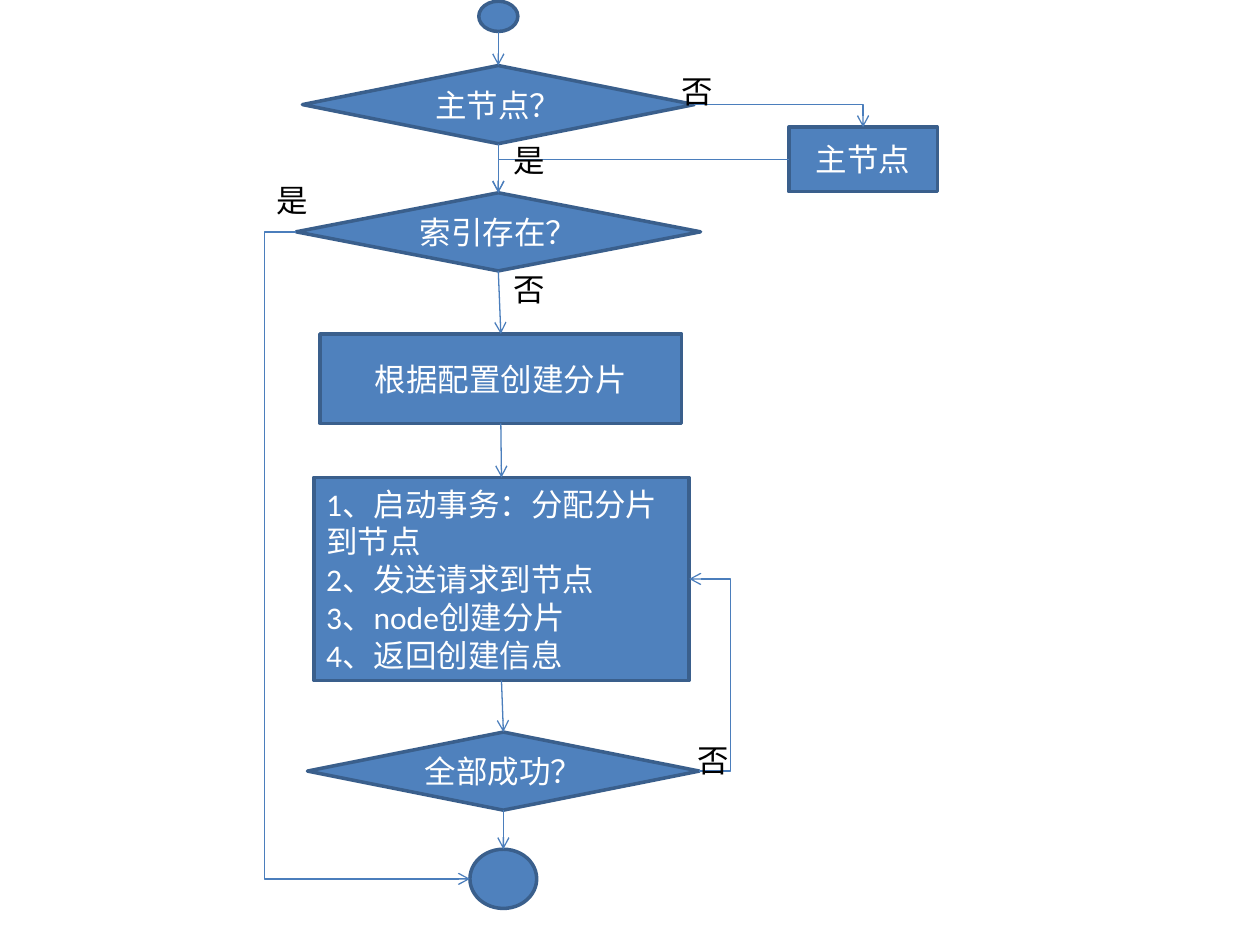
from lxml import etree
from pptx import Presentation
from pptx.dml.color import RGBColor
from pptx.enum.shapes import MSO_CONNECTOR, MSO_SHAPE
from pptx.enum.text import MSO_ANCHOR, PP_ALIGN
from pptx.oxml.ns import qn
from pptx.util import Inches, Pt

ELLIPSE = MSO_SHAPE.OVAL
DECISION = MSO_SHAPE.FLOWCHART_DECISION
PROCESS = MSO_SHAPE.FLOWCHART_PROCESS
STRAIGHT, ELBOW = MSO_CONNECTOR.STRAIGHT, MSO_CONNECTOR.ELBOW
LEFT, CENTER = PP_ALIGN.LEFT, PP_ALIGN.CENTER
TOP, MIDDLE = MSO_ANCHOR.TOP, MSO_ANCHOR.MIDDLE
COLUMNS, ROWS = 100, 75


def color(hex_string):
    """Turn a hex string into a colour."""
    return RGBColor.from_string(hex_string)


def write(shape, text, size=18, font="Calibri", fill="FFFFFF", align=CENTER, anchor=MIDDLE):
    """Write one paragraph per line of text into a shape."""
    frame = shape.text_frame
    frame.word_wrap = True
    frame.vertical_anchor = anchor
    frame.text = text
    for paragraph in frame.paragraphs:
        paragraph.alignment = align
        for run in paragraph.runs:
            run.font.size = Pt(size)
            run.font.name = font
            run.font.color.rgb = color(fill)


def side(shape, name):
    """Return the middle point of one side of a shape."""
    middle_x = shape.left + shape.width // 2
    middle_y = shape.top + shape.height // 2
    return {
        "top": (middle_x, shape.top),
        "bottom": (middle_x, shape.top + shape.height),
        "left": (shape.left, middle_y),
        "right": (shape.left + shape.width, middle_y),
    }[name]


class Flowchart:
    """Hold the slide, its grid and the style of the flowchart."""

    fill, outline, arrow_color, label_color = "4F81BD", "3A5F8C", "4B7EBC", "000000"

    def __init__(self, presentation):
        """Add a blank slide and derive the grid from its size."""
        self.slide = presentation.slides.add_slide(presentation.slide_layouts[6])
        self.column = presentation.slide_width / COLUMNS
        self.row = presentation.slide_height / ROWS

    def place(self, column, row, columns, rows):
        """Turn grid units into a position and a size."""
        return (round(column * self.column), round(row * self.row),
                round(columns * self.column), round(rows * self.row))

    def node(self, kind, column, row, columns, rows, text="", align=CENTER):
        """Add a filled flowchart shape."""
        shape = self.slide.shapes.add_shape(kind, *self.place(column, row, columns, rows))
        shape.shadow.inherit = False
        shape.fill.solid()
        shape.fill.fore_color.rgb = color(self.fill)
        shape.line.color.rgb = color(self.outline)
        shape.line.width = Pt(2)
        if text:
            write(shape, text, align=align)
        return shape

    def label(self, text, column, row, columns=3.9):
        """Add a branch label."""
        box = self.slide.shapes.add_textbox(*self.place(column, row, columns, 4))
        write(box, text, fill=self.label_color, align=LEFT, anchor=TOP)

    def arrow(self, start, end, kind=STRAIGHT):
        """Add an arrow between two points."""
        connector = self.slide.shapes.add_connector(kind, *start, *end)
        connector.line.color.rgb = color(self.arrow_color)
        connector.line.width = Pt(0.75)
        etree.SubElement(connector.line._get_or_add_ln(), qn("a:tailEnd"), type="arrow")
        etree.SubElement(connector._element.spPr, qn("a:effectLst"))
        return connector

    def corner(self, start, end):
        """Add an arrow that runs across, then down."""
        connector = self.arrow(start, end, ELBOW)
        connector._element.spPr.find(qn("a:prstGeom")).set("prst", "bentConnector2")

    def detour(self, start, end, column):
        """Add an arrow that turns twice at a given column."""
        connector = self.arrow(start, end, ELBOW)
        share = (column * self.column - start[0]) / (end[0] - start[0])
        geometry = connector._element.spPr.find(qn("a:prstGeom"))
        adjustments = geometry.find(qn("a:avLst"))
        etree.SubElement(adjustments, qn("a:gd"), name="adj1", fmla=f"val {round(share * 100000)}")


def build():
    """Draw the index creation flowchart and save it."""
    presentation = Presentation()
    presentation.slide_width, presentation.slide_height = Inches(10), Inches(7.5)
    chart = Flowchart(presentation)

    start = chart.node(ELLIPSE, 38, 0.1, 3.1, 2.4)
    is_master = chart.node(DECISION, 24, 5.2, 31.1, 6.2, "主节点？")
    master = chart.node(PROCESS, 62.6, 10.1, 11.8, 5.1, "主节点")
    index_exists = chart.node(DECISION, 23.5, 15.3, 32.1, 6.2, "索引存在？")
    create_shards = chart.node(PROCESS, 25.4, 26.5, 28.7, 7.1, "根据配置创建分片")
    steps = chart.node(
        PROCESS, 24.9, 37.9, 29.8, 16.1,
        "1、启动事务：分配分片到节点\n2、发送请求到节点\n3、node创建分片\n4、返回创建信息",
        align=LEFT)
    all_done = chart.node(DECISION, 24.4, 58.1, 31.1, 6.2, "全部成功？")
    finish = chart.node(ELLIPSE, 37.3, 67.4, 5.3, 4.7)

    flow = [start, is_master, index_exists, create_shards, steps, all_done, finish]
    for upper, lower in zip(flow, flow[1:]):
        chart.arrow(side(upper, "bottom"), side(lower, "top"))

    chart.corner(side(is_master, "right"), side(master, "top"))
    chart.corner(side(master, "left"), side(index_exists, "top"))
    chart.detour(side(index_exists, "left"), side(finish, "left"), 21)
    chart.detour(side(all_done, "right"), side(steps, "right"), 58)

    chart.label("否", 53.1, 5.2)
    chart.label("是", 39.8, 10.7, 3.3)
    chart.label("是", 21, 13.9, 3.3)
    chart.label("否", 39.8, 20.9)
    chart.label("否", 54.4, 58.3)

    presentation.save("out.pptx")


build()
